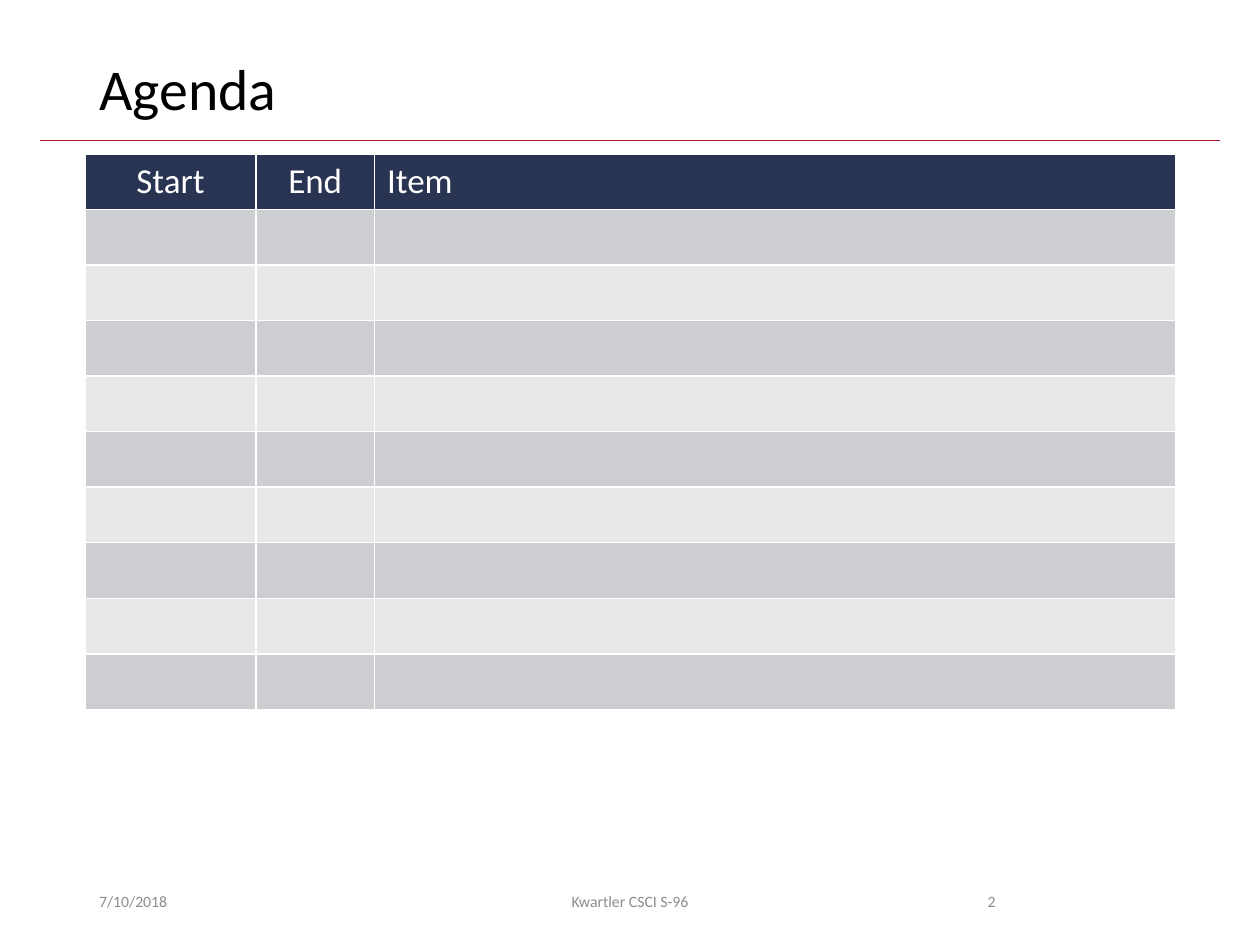
from lxml import etree
from pptx import Presentation
from pptx.dml.color import RGBColor
from pptx.enum.shapes import MSO_CONNECTOR
from pptx.enum.text import MSO_ANCHOR, MSO_AUTO_SIZE, PP_ALIGN
from pptx.oxml.ns import qn
from pptx.util import Cm, Pt

LEFT, CENTER, RIGHT = PP_ALIGN.LEFT, PP_ALIGN.CENTER, PP_ALIGN.RIGHT
MIDDLE = MSO_ANCHOR.MIDDLE
NO_FIT = MSO_AUTO_SIZE.NONE
STRAIGHT = MSO_CONNECTOR.STRAIGHT

FONT = "Calibri"
BLACK, WHITE, GREY = "000000", "FFFFFF", "8C8C8C"
NAVY, DARK_BAND, LIGHT_BAND = "293352", "CDCED1", "E8E8E9"
RULE_COLOUR = "A51C30"

HEADINGS = [("Start", CENTER, 3.45), ("End", CENTER, 2.39), ("Item", LEFT, 16.15)]
FOOTERS = [
    ("7/10/2018", LEFT, 1.75, 5.72),
    ("Kwartler CSCI S-96", CENTER, 8.41, 8.58),
    ("2", RIGHT, 17.93, 2.39),
]
ROW_COUNT = 10
ROW_HEIGHT = 1.12


def colour(value):
    return RGBColor.from_string(value)


def write(frame, text, size, text_colour, align):
    para = frame.paragraphs[0]
    para.alignment = align
    span = para.add_run()
    span.text = text
    span.font.name = FONT
    span.font.size = Pt(size)
    span.font.color.rgb = colour(text_colour)
    return para


def add_title(page, text):
    title = page.shapes.title
    title.left, title.top = Cm(1.75), Cm(1.02)
    title.width, title.height = Cm(21.9), Cm(1.65)
    frame = title.text_frame
    frame.auto_size = NO_FIT
    frame.vertical_anchor = MIDDLE
    write(frame, text, 33, BLACK, LEFT).line_spacing = 0.9


def add_rule(page):
    rule = page.shapes.add_connector(STRAIGHT, Cm(0.81), Cm(2.84), Cm(24.59), Cm(2.84))
    rule.line.color.rgb = colour(RULE_COLOUR)
    rule.line.width = Pt(0.5)
    etree.SubElement(rule._element.spPr, qn("a:effectLst"))


def add_borders(cell):
    properties = cell._tc.get_or_add_tcPr()
    for side in ("a:lnL", "a:lnR", "a:lnT", "a:lnB"):
        border = etree.SubElement(properties, qn(side), w=str(Pt(1)))
        fill = etree.SubElement(border, qn("a:solidFill"))
        etree.SubElement(fill, qn("a:srgbClr"), val=WHITE)


def add_agenda(page):
    width = sum(column_width for _, _, column_width in HEADINGS)
    table = page.shapes.add_table(
        ROW_COUNT, len(HEADINGS), Cm(1.71), Cm(3.1), Cm(width), Cm(ROW_COUNT * ROW_HEIGHT)
    ).table
    for row_index, row in enumerate(table.rows):
        row.height = Cm(ROW_HEIGHT)
        band = DARK_BAND if row_index % 2 else LIGHT_BAND
        for cell in row.cells:
            add_borders(cell)
            cell.fill.solid()
            cell.fill.fore_color.rgb = colour(band if row_index else NAVY)
    for index, (text, align, column_width) in enumerate(HEADINGS):
        table.columns[index].width = Cm(column_width)
        heading = write(table.cell(0, index).text_frame, text, 20, WHITE, align)
        heading.runs[0].font.bold = False


def add_footer(page, text, align, left, width):
    box = page.shapes.add_textbox(Cm(left), Cm(17.65), Cm(width), Cm(1.02))
    frame = box.text_frame
    frame.word_wrap = True
    frame.vertical_anchor = MIDDLE
    write(frame, text, 9, GREY, align)


def main():
    deck = Presentation()
    deck.slide_width, deck.slide_height = Cm(25.4), Cm(19.05)
    page = deck.slides.add_slide(deck.slide_layouts[5])
    add_rule(page)
    add_title(page, "Agenda")
    add_agenda(page)
    for footer in FOOTERS:
        add_footer(page, *footer)
    deck.save("out.pptx")


if __name__ == "__main__":
    main()
